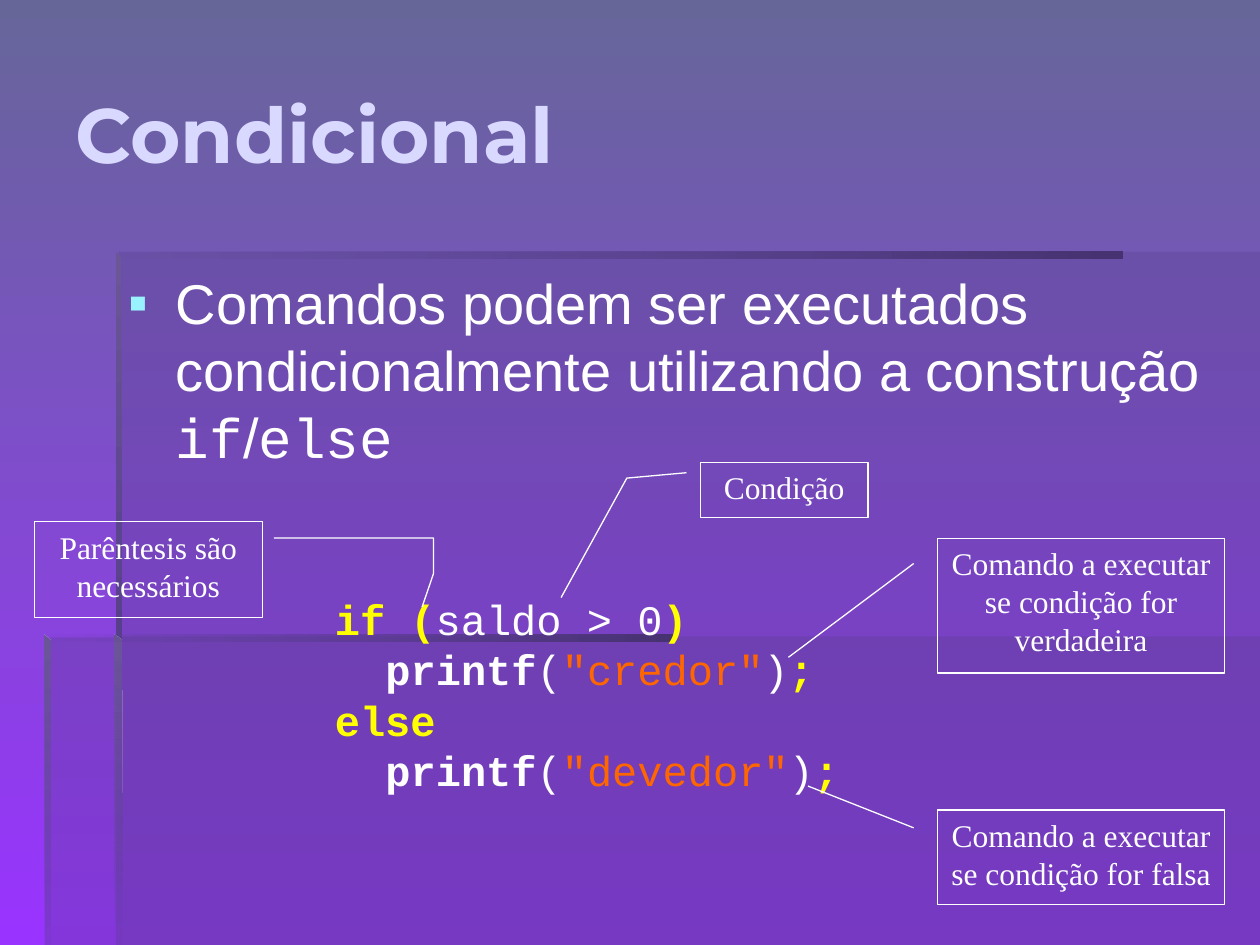
from lxml import etree
from pptx import Presentation
from pptx.dml.color import RGBColor
from pptx.enum.shapes import MSO_SHAPE
from pptx.enum.text import MSO_ANCHOR, MSO_AUTO_SIZE, PP_ALIGN
from pptx.oxml.ns import qn
from pptx.util import Cm, Pt

TOP, MIDDLE = MSO_ANCHOR.TOP, MSO_ANCHOR.MIDDLE
LEFT, CENTER = PP_ALIGN.LEFT, PP_ALIGN.CENTER
NO_FIT = MSO_AUTO_SIZE.NONE
CALL_1, CALL_2, CALL_3 = (MSO_SHAPE.LINE_CALLOUT_1, MSO_SHAPE.LINE_CALLOUT_2,
                          MSO_SHAPE.LINE_CALLOUT_3)
WHITE, YELLOW, ORANGE = "FFFFFF", "FFFF00", "FF6600"
SHADE, DARK, LIGHT = "573F8B", "473371", "6B5698"
SANS, MONO, SERIF = "Arial", "Courier New", "Times New Roman"


def rgb(code):
    return RGBColor.from_string(code)


def add_run(para, text, font, size, color, bold=False):
    run = para.add_run()
    run.text = text
    run.font.name = font
    run.font.size = Pt(size)
    run.font.bold = bold
    run.font.color.rgb = rgb(color)


prs = Presentation()
prs.slide_width, prs.slide_height = Cm(25.4), Cm(19.05)
slide = prs.slides.add_slide(prs.slide_layouts[1])
shapes = slide.shapes
title, body = slide.placeholders[0], slide.placeholders[1]

back = slide.background.fill
back.gradient()
back.gradient_angle = 270
for stop, color in zip(back.gradient_stops, ("666699", "9933FF")):
    stop.color.rgb = rgb(color)

# Background panels and bevels: points in cm, (colour, opacity) stops, angle
panel = [(SHADE, 30)]
fade = [(DARK, 100), (SHADE, 0)]
decor = [
    ([(2.34, 12.83), (2.34, 19.05), (25.4, 19.05), (25.4, 12.83)], panel, 0),
    ([(2.39, 12.85), (0.91, 12.85), (0.91, 19.05), (25.4, 19.05),
      (25.4, 5.08), (2.39, 5.08)], panel, 0),
    ([(2.34, 5.08), (2.34, 5.21), (22.63, 5.21), (22.63, 5.08)], fade, 180),
    ([(2.34, 5.08), (2.34, 12.95), (2.46, 12.95), (2.44, 5.18)],
     [(LIGHT, 100), (SHADE, 100)], 270),
    ([(2.31, 19.05), (2.46, 19.05), (2.44, 12.9), (2.31, 12.8)],
     [(LIGHT, 100), (SHADE, 0)], 270),
    ([(0.89, 12.8), (0.89, 12.93), (13.59, 12.93), (13.59, 12.8)], fade, 180),
    ([(0.89, 12.8), (0.89, 19.05), (1.02, 19.05), (1.02, 12.93)],
     [(LIGHT, 100), (SHADE, 10)], 270),
]
for points, stops, angle in decor:
    spots = [(Cm(x), Cm(y)) for x, y in points]
    pen = shapes.build_freeform(*spots[0])
    pen.add_line_segments(spots[1:], close=True)
    form = pen.convert_to_shape()
    form.shadow.inherit = False
    form.line.fill.background()
    if len(stops) == 1:
        form.fill.solid()
        form.fill.fore_color.rgb = rgb(stops[0][0])
    else:
        form.fill.gradient()
        form.fill.gradient_angle = angle
        for stop, (color, _) in zip(form.fill.gradient_stops, stops):
            stop.color.rgb = rgb(color)
    marks = form.element.spPr.iter(qn("a:srgbClr"))
    for mark, (_, alpha) in zip(marks, stops):
        etree.SubElement(mark, qn("a:alpha")).set("val", str(alpha * 1000))

# Title and list sit in front of the panels
for holder, place, anchor in (
        (title, (1.27, 0.69, 23.29, 3.99), MIDDLE),
        (body, (2.34, 5.28, 22.25, 11.63), TOP)):
    holder.left, holder.top, holder.width, holder.height = map(Cm, place)
    holder.text_frame.vertical_anchor = anchor
    holder.text_frame.auto_size = NO_FIT
    holder.text_frame.paragraphs[0].alignment = LEFT
    holder.element.getparent().append(holder.element)

add_run(title.text_frame.paragraphs[0], "Condicional", "Montserrat", 44,
        "D9D9FF", True)

para = body.text_frame.paragraphs[0]
para.space_before = Pt(8)
for text, font in (
        ("Comandos podem ser executados condicionalmente utilizando a construção ", SANS),
        ("if", MONO), ("/", SANS), ("else", MONO)):
    add_run(para, text, font, 32, WHITE)
props = para._p.get_or_add_pPr()
props.set("marL", str(Cm(0.95)))
props.set("indent", str(Cm(-0.95)))
tint = etree.SubElement(props, qn("a:buClr"))
etree.SubElement(tint, qn("a:srgbClr")).set("val", "99F3FF")
etree.SubElement(props, qn("a:buFont")).set("typeface", SANS)
etree.SubElement(props, qn("a:buChar")).set("char", "▪")

# Code: indent in cm, then runs of text, colour, bold
code = [(0, [("if (", YELLOW, True), ("saldo > 0", WHITE, False),
             (")", YELLOW, True)])]
for word in ("credor", "devedor"):
    code.append((1.02, [("printf", WHITE, True), ("(", WHITE, False),
                        (f'"{word}"', ORANGE, False), (")", WHITE, False),
                        (";", YELLOW, True)]))
code.insert(2, (0, [("else", YELLOW, True)]))

frame = shapes.add_textbox(Cm(6.5), Cm(11.84), Cm(10.67), Cm(4.32)).text_frame
frame.word_wrap = False
for row, (indent, runs) in enumerate(code):
    para = frame.add_paragraph() if row else frame.paragraphs[0]
    para._p.get_or_add_pPr().set("marL", str(Cm(indent)))
    for text, color, bold in runs:
        add_run(para, text, MONO, 24, color, bold)

# Callouts: kind, place in cm, pointer as (y, x) shares of the box, text
notes = [
    (CALL_2, (14.12, 9.32, 3.38, 1.12),
     (0.188, -0.083, 0.285, -0.439, 2.435, -0.831), "Condição"),
    (CALL_1, (18.9, 10.85, 5.79, 2.72), (0.188, -0.083, 0.883, -0.519),
     "Comando a executar se condição for verdadeira"),
    (CALL_1, (18.9, 16.33, 5.79, 1.91), (0.188, -0.083, -0.253, -0.451),
     "Comando a executar se condição for falsa"),
    (CALL_3, (0.69, 10.52, 4.6, 1.93),
     (0.17, 1.05, 0.17, 1.75, 0.54, 1.75, 0.89, 1.7),
     "Parêntesis são necessários"),
]
for kind, place, tail, text in notes:
    note = shapes.add_shape(kind, *map(Cm, place))
    note.shadow.inherit = False
    note.fill.background()
    note.line.color.rgb = rgb(WHITE)
    note.line.width = Pt(0.75)
    for spot, share in enumerate(tail):
        note.adjustments[spot] = share
    frame = note.text_frame
    frame.word_wrap = True
    frame.vertical_anchor = TOP
    frame.paragraphs[0].alignment = CENTER
    add_run(frame.paragraphs[0], text, SERIF, 18, WHITE)

prs.save("out.pptx")
